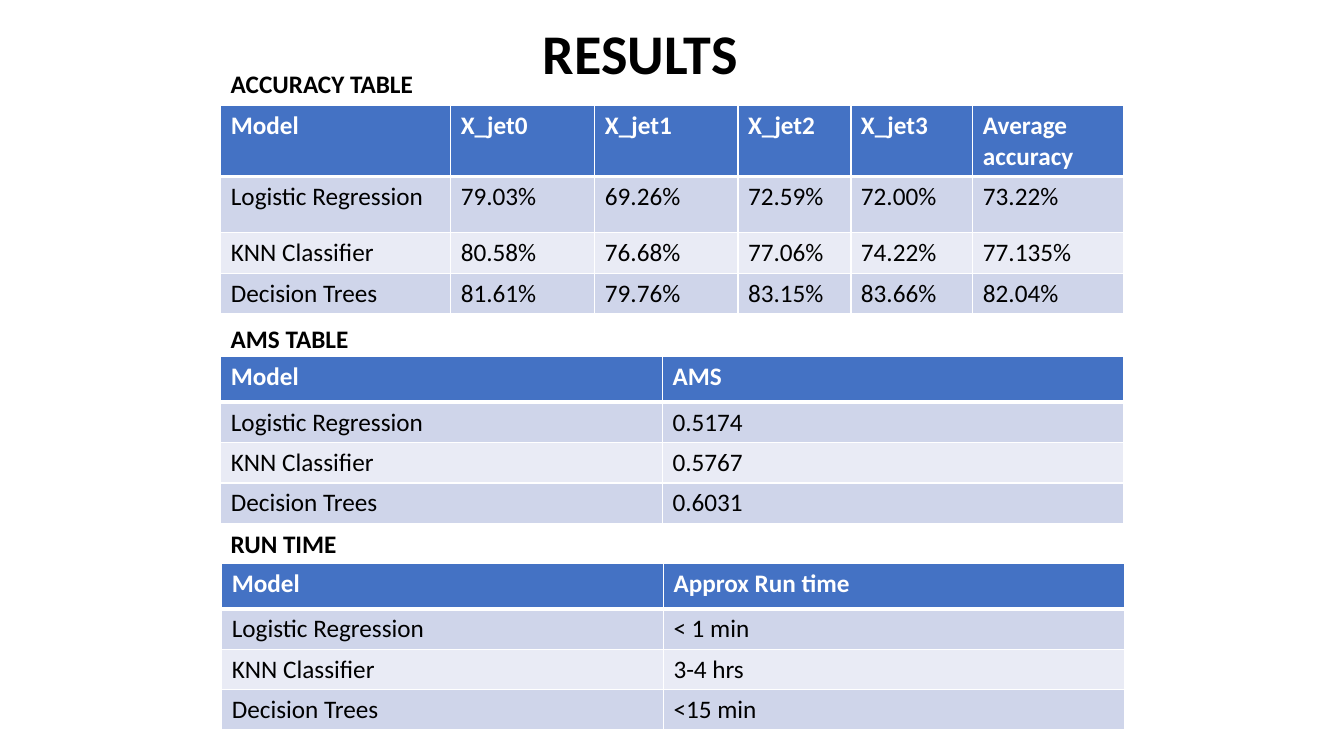
from dataclasses import dataclass

from lxml.etree import SubElement
from pptx import Presentation
from pptx.dml.color import RGBColor
from pptx.enum.text import MSO_ANCHOR as Anchor, MSO_AUTO_SIZE as AutoSize, PP_ALIGN as Align
from pptx.oxml.ns import qn
from pptx.util import Pt

PX = 9144  # EMU per px, 100 px to the inch


@dataclass(frozen=True)
class Theme:
    font: str = "Calibri"
    title_size: int = 40
    body_size: int = 18
    text: str = "000000"
    header_text: str = "FFFFFF"
    header_fill: str = "4472C4"
    band_fills: tuple = ("CFD5EA", "E9EBF5")
    border: str = "FFFFFF"
    border_width: int = 1
    header_rule: int = 3


THEME = Theme()
TITLE_BOX = (219, 13, 832, 77)
MODELS = ["Logistic Regression", "KNN Classifier", "Decision Trees"]
TWO_COLUMNS = [438, 457]
SHORT_ROWS = [45, 38, 38, 38]

# caption, caption box, table left and top, column widths, row heights, headings, values per model
SECTIONS = [
    ("ACCURACY TABLE", (219, 63, 832, 40), (219, 105),
     [228, 143, 142, 112, 121, 149], [69, 56, 38, 38],
     ["X_jet0", "X_jet1", "X_jet2", "X_jet3", "Average accuracy"],
     [["79.03%", "69.26%", "72.59%", "72.00%", "73.22%"],
      ["80.58%", "76.68%", "77.06%", "74.22%", "77.135%"],
      ["81.61%", "79.76%", "83.15%", "83.66%", "82.04%"]]),
    ("AMS TABLE", (219, 316, 667, 40), (219, 354), TWO_COLUMNS, SHORT_ROWS,
     ["AMS"], [["0.5174"], ["0.5767"], ["0.6031"]]),
    ("RUN TIME", (219, 519, 896, 40), (220, 559), TWO_COLUMNS, SHORT_ROWS,
     ["Approx Run time"], [["< 1 min"], ["3-4 hrs"], ["<15 min"]]),
]


def emu(lengths):
    return [length * PX for length in lengths]


def write(frame, text, size, color, bold, align=Align.LEFT):
    frame.text = text
    paragraph = frame.paragraphs[0]
    paragraph.alignment = align
    font = paragraph.runs[0].font
    for name, value in {"name": THEME.font, "size": Pt(size), "bold": bold}.items():
        setattr(font, name, value)
    font.color.rgb = RGBColor.from_string(color)


def add_title(slide, box, text):
    title = slide.shapes.title
    for name, value in zip(("left", "top", "width", "height"), emu(box)):
        setattr(title, name, value)
    frame = title.text_frame
    write(frame, text, THEME.title_size, THEME.text, True, Align.CENTER)
    for name, value in {"word_wrap": True, "vertical_anchor": Anchor.TOP,
                        "auto_size": AutoSize.SHAPE_TO_FIT_TEXT}.items():
        setattr(frame, name, value)


def add_caption(slide, box, text):
    frame = slide.shapes.add_textbox(*emu(box)).text_frame
    write(frame, text, THEME.body_size, THEME.text, True)
    frame.word_wrap = True
    frame.auto_size = AutoSize.SHAPE_TO_FIT_TEXT


def set_borders(cell, top, bottom):
    properties = cell._tc.get_or_add_tcPr()
    side = THEME.border_width
    for tag, width in {"lnL": side, "lnR": side, "lnT": top, "lnB": bottom}.items():
        line = SubElement(properties, qn(f"a:{tag}"), w=str(Pt(width)))
        fill = SubElement(line, qn("a:solidFill"))
        SubElement(fill, qn("a:srgbClr"), val=THEME.border)


def format_cell(cell, row, text):
    header = row == 0
    write(cell.text_frame, text, THEME.body_size,
          THEME.header_text if header else THEME.text, header)
    set_borders(cell, THEME.header_rule if row == 1 else THEME.border_width,
                THEME.header_rule if header else THEME.border_width)
    cell.fill.solid()
    fill = THEME.header_fill if header else THEME.band_fills[(row - 1) % 2]
    cell.fill.fore_color.rgb = RGBColor.from_string(fill)


def add_results_table(slide, corner, widths, heights, rows):
    box = (*corner, sum(widths), sum(heights))
    table = slide.shapes.add_table(len(heights), len(widths), *emu(box)).table
    for column, width in zip(table.columns, emu(widths)):
        column.width = width
    for table_row, height in zip(table.rows, emu(heights)):
        table_row.height = height
    for row, texts in enumerate(rows):
        for column, text in enumerate(texts):
            format_cell(table.cell(row, column), row, text)


def add_section(slide, caption, caption_box, corner, widths, heights, headings, values):
    rows = [["Model", *headings]]
    rows += [[model, *results] for model, results in zip(MODELS, values)]
    add_results_table(slide, corner, widths, heights, rows)
    add_caption(slide, caption_box, caption)


def main():
    presentation = Presentation()
    presentation.slide_width, presentation.slide_height = emu((1333, 750))
    slide = presentation.slides.add_slide(presentation.slide_layouts[5])
    add_title(slide, TITLE_BOX, "RESULTS")
    for section in SECTIONS:
        add_section(slide, *section)
    presentation.save("out.pptx")


if __name__ == "__main__":
    main()
